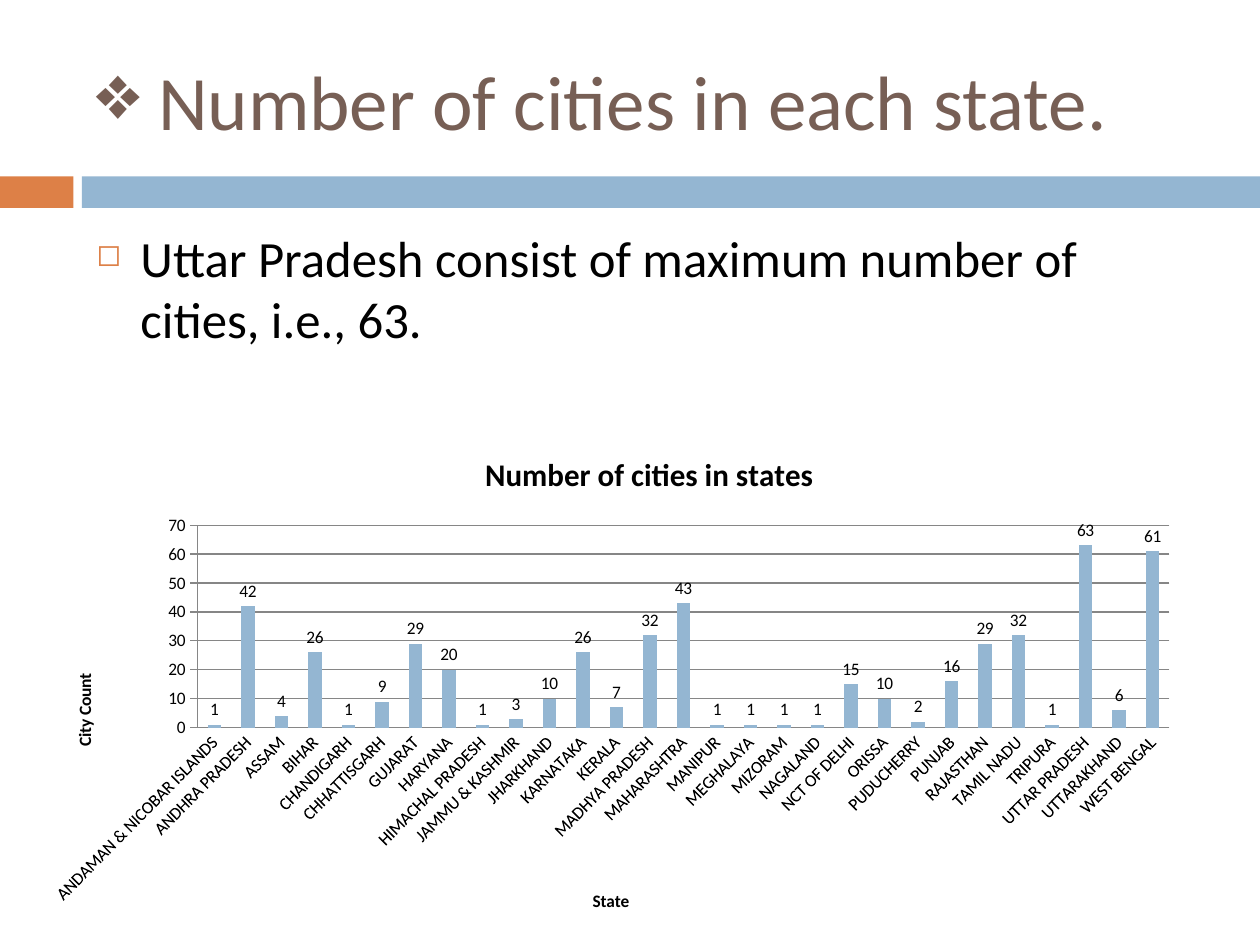
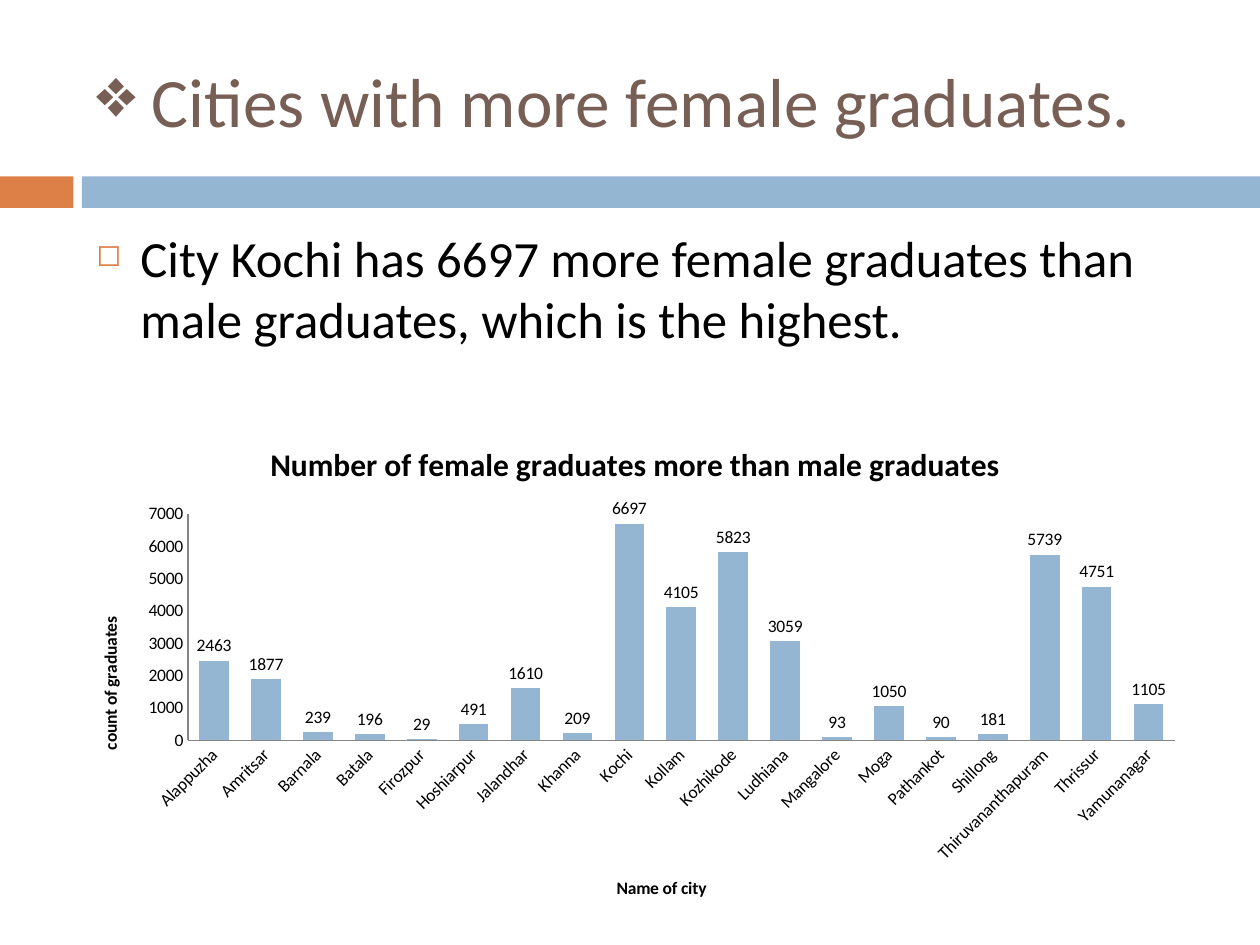
import pptx
import pptx.chart.data
import pptx.dml.color
import pptx.enum.chart
import pptx.enum.shapes
import pptx.enum.text
import pptx.util
from lxml import etree

Pt = pptx.util.Pt
RGBColor = pptx.dml.color.RGBColor
Tick = pptx.enum.chart.XL_TICK_MARK
Anchor = pptx.enum.text.MSO_ANCHOR

ORANGE = RGBColor(0xDD, 0x80, 0x47)
BLUE = RGBColor(0x94, 0xB6, 0xD2)
BROWN = RGBColor(0x77, 0x5F, 0x55)
BLACK = RGBColor(0, 0, 0)
GREY = RGBColor(0x86, 0x86, 0x86)
FONT = "Calibri"
DRAWING = "http://schemas.openxmlformats.org/drawingml/2006/main"
CHART = "http://schemas.openxmlformats.org/drawingml/2006/chart"

BANDS = [(0, 42, ORANGE), (46.8, 673.2, BLUE)]

STATE_CITIES = {
    "ANDAMAN & NICOBAR ISLANDS": 1, "ANDHRA PRADESH": 42, "ASSAM": 4,
    "BIHAR": 26, "CHANDIGARH": 1, "CHHATTISGARH": 9, "GUJARAT": 29,
    "HARYANA": 20, "HIMACHAL PRADESH": 1, "JAMMU & KASHMIR": 3,
    "JHARKHAND": 10, "KARNATAKA": 26, "KERALA": 7, "MADHYA PRADESH": 32,
    "MAHARASHTRA": 43, "MANIPUR": 1, "MEGHALAYA": 1, "MIZORAM": 1,
    "NAGALAND": 1, "NCT OF DELHI": 15, "ORISSA": 10, "PUDUCHERRY": 2,
    "PUNJAB": 16, "RAJASTHAN": 29, "TAMIL NADU": 32, "TRIPURA": 1,
    "UTTAR PRADESH": 63, "UTTARAKHAND": 6, "WEST BENGAL": 61,
}
CITY_GRADUATES = {
    "Alappuzha": 2463, "Amritsar": 1877, "Barnala": 239, "Batala": 196,
    "Firozpur": 29, "Hoshiarpur": 491, "Jalandhar": 1610, "Khanna": 209,
    "Kochi": 6697, "Kollam": 4105, "Kozhikode": 5823, "Ludhiana": 3059,
    "Mangalore": 93, "Moga": 1050, "Pathankot": 90, "Shillong": 181,
    "Thiruvananthapuram": 5739, "Thrissur": 4751, "Yamunanagar": 1105,
}

PAGES = [
    {
        "title": " Number of cities in each state.", "title_size": 44,
        "body": "Uttar Pradesh consist of maximum number of cities, i.e., 63.",
        "body_area": (48, 126, 605.5, 96),
        "chart_title": "Number of cities in states",
        "chart_area": (30, 246, 672, 278), "data": STATE_CITIES,
        "axis_titles": ("State", "City Count"), "gap": 150, "grid": True,
        "tick": Tick.CROSS, "limits": None,
        "plot": {"x": 0.11, "y": 0.195, "w": 0.839, "h": 0.416},
    },
    {
        "title": " Cities with more female graduates.", "title_size": 39.6,
        "body": "City Kochi has 6697 more female graduates than male "
                "graduates, which is the highest.",
        "body_area": (48, 126, 642, 90),
        "chart_title": "Number of female graduates more than male graduates",
        "chart_area": (42, 240, 642, 288), "data": CITY_GRADUATES,
        "axis_titles": ("Name of city", "count of graduates"), "gap": 75,
        "grid": False, "tick": Tick.NONE, "limits": (0, 7000), "plot": None,
    },
]


def add_bulleted_text(page, area, text, *, size, color, bullet, bullet_color=None,
                      bullet_percent=100, hanging=0, before=0, anchor=Anchor.TOP):
    """Add a text box holding one bulleted paragraph."""
    box = page.shapes.add_textbox(*map(Pt, area))
    frame = box.text_frame
    frame.word_wrap = True
    frame.vertical_anchor = anchor
    para = frame.paragraphs[0]
    para.space_before = Pt(before)
    span = para.add_run()
    span.text = text
    span.font.name = FONT
    span.font.size = Pt(size)
    span.font.color.rgb = color
    settings = para._p.get_or_add_pPr()
    settings.set("marL", str(Pt(hanging)))
    settings.set("indent", str(-Pt(hanging)))
    mark_color = etree.SubElement(settings, f"{{{DRAWING}}}buClr")
    etree.SubElement(mark_color, f"{{{DRAWING}}}srgbClr", val=str(bullet_color or color))
    etree.SubElement(settings, f"{{{DRAWING}}}buSzPct", val=str(bullet_percent * 1000))
    etree.SubElement(settings, f"{{{DRAWING}}}buChar", char=bullet)


def set_chart_title(owner, text, size):
    """Give a chart or an axis a bold title."""
    owner.has_title = True
    heading = owner.chart_title if hasattr(owner, "chart_title") else owner.axis_title
    span = heading.text_frame.paragraphs[0].add_run()
    span.text = text
    span.font.name = FONT
    span.font.size = Pt(size)
    span.font.bold = True
    span.font.color.rgb = BLACK


deck = pptx.Presentation()
deck.slide_width = Pt(720)
deck.slide_height = Pt(540)

for content in PAGES:
    page = deck.slides.add_slide(deck.slide_layouts[6])

    for left, width, color in BANDS:
        band = page.shapes.add_shape(pptx.enum.shapes.MSO_SHAPE.RECTANGLE,
                                     Pt(left), Pt(100.8), Pt(width), Pt(18))
        band.shadow.inherit = False
        band.fill.solid()
        band.fill.fore_color.rgb = color
        band.line.fill.background()

    add_bulleted_text(page, (48, 18, 642, 78), content["title"],
                      size=content["title_size"], color=BROWN, bullet="❖",
                      anchor=Anchor.MIDDLE)
    add_bulleted_text(page, content["body_area"], content["body"], size=29,
                      color=BLACK, bullet="◻", bullet_color=ORANGE,
                      bullet_percent=60, hanging=25.2, before=7)

    data = pptx.chart.data.CategoryChartData()
    data.categories = list(content["data"])
    data.add_series("Series 1", list(content["data"].values()))
    chart = page.shapes.add_chart(
        pptx.enum.chart.XL_CHART_TYPE.COLUMN_CLUSTERED,
        *map(Pt, content["chart_area"]), data).chart
    chart.has_legend = False
    chart.font.name = FONT
    chart.font.size = Pt(10)
    chart.font.color.rgb = BLACK
    set_chart_title(chart, content["chart_title"], 18)
    chart.chart_title.include_in_layout = False

    plot = chart.plots[0]
    plot.vary_by_categories = False
    plot.gap_width = content["gap"]
    plot.has_data_labels = True
    plot.data_labels.show_value = True
    plot.data_labels.position = pptx.enum.chart.XL_LABEL_POSITION.OUTSIDE_END
    columns = plot.series[0]
    columns.format.fill.solid()
    columns.format.fill.fore_color.rgb = BLUE

    axes = (chart.category_axis, chart.value_axis)
    for axis, text, tick in zip(axes, content["axis_titles"], (Tick.NONE, content["tick"])):
        set_chart_title(axis, text, 10)
        axis.major_tick_mark = tick
        axis.minor_tick_mark = Tick.NONE
        axis.has_major_gridlines = False
        axis.format.line.color.rgb = GREY
        axis.format.line.width = Pt(0.75)
        axis.tick_labels.font.size = Pt(10)
    labels = chart.category_axis._element.find(f"{{{CHART}}}txPr/{{{DRAWING}}}bodyPr")
    labels.set("rot", str(-45 * 60000))

    if content["grid"]:
        chart.value_axis.has_major_gridlines = True
        grid_line = chart.value_axis.major_gridlines.format.line
        grid_line.color.rgb = GREY
        grid_line.width = Pt(0.75)
    if content["limits"]:
        chart.value_axis.minimum_scale, chart.value_axis.maximum_scale = content["limits"]
    if content["plot"]:
        plot_area = chart._chartSpace.chart.plotArea
        layout = plot_area.find(f"{{{CHART}}}layout")
        if layout is None:
            layout = etree.Element(f"{{{CHART}}}layout")
            plot_area.insert(0, layout)
        manual = etree.SubElement(layout, f"{{{CHART}}}manualLayout")
        etree.SubElement(manual, f"{{{CHART}}}layoutTarget", val="inner")
        for side in "xy":
            etree.SubElement(manual, f"{{{CHART}}}{side}Mode", val="edge")
        for side, share in content["plot"].items():
            etree.SubElement(manual, f"{{{CHART}}}{side}", val=str(share))

deck.save("out.pptx")
